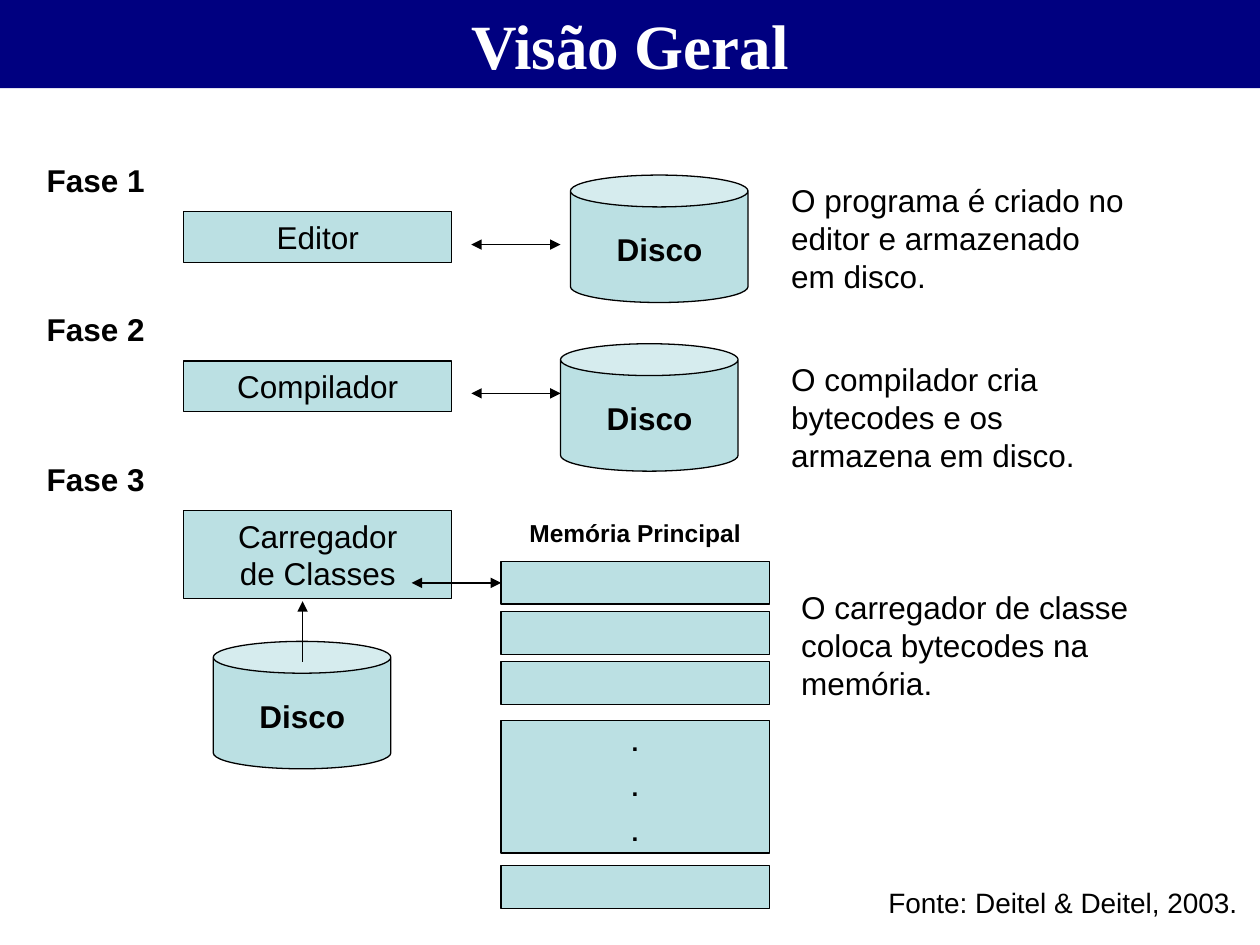
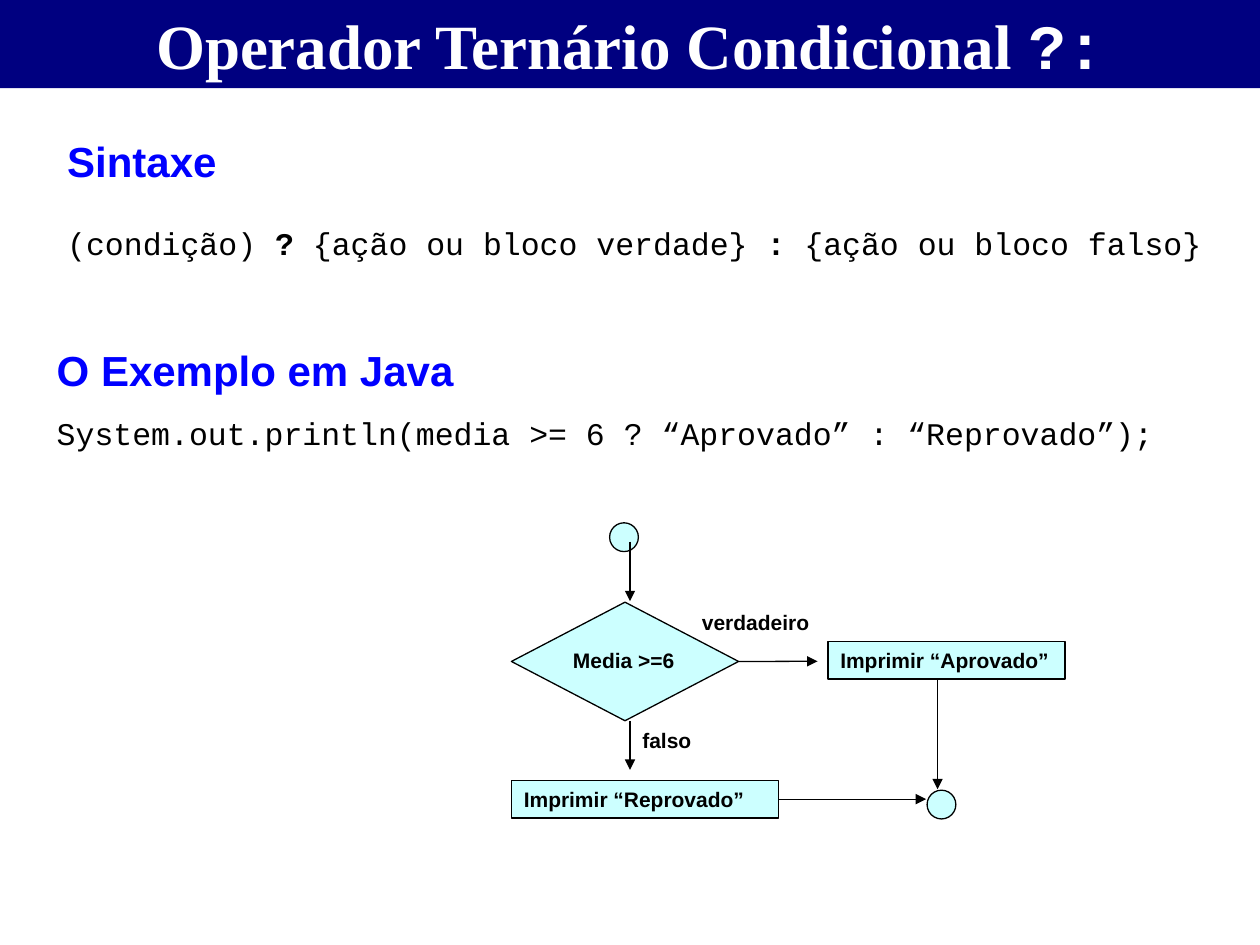
from dataclasses import dataclass

from lxml.etree import SubElement
from pptx import Presentation
from pptx.dml.color import RGBColor as RGB
from pptx.enum.shapes import MSO_CONNECTOR as LINK, MSO_SHAPE as FORM
from pptx.enum.text import MSO_ANCHOR as ANCHOR, MSO_AUTO_SIZE as FIT, PP_ALIGN as ALIGN
from pptx.oxml.ns import qn
from pptx.util import Cm, Pt


@dataclass(frozen=True)
class Theme:
    band: RGB = RGB(0x00, 0x00, 0x80)
    white: RGB = RGB(0xFF, 0xFF, 0xFF)
    ink: RGB = RGB(0x00, 0x00, 0x00)
    heading: RGB = RGB(0x00, 0x00, 0xFF)
    phase: RGB = RGB(0xBB, 0xE0, 0xE3)
    flow: RGB = RGB(0xCC, 0xFF, 0xFF)
    serif: str = "Times New Roman"
    sans: str = "Arial"
    mono: str = "Courier New"
    title_size: int = 36
    heading_size: int = 24
    text_size: int = 18
    source_size: int = 16
    memory_size: int = 14
    flow_size: int = 12
    line_width: float = 0.75


THEME = Theme()
BOTH_ENDS = ("headEnd", "tailEnd")
TOP, LEFT, BOTTOM, RIGHT = range(4)


def write(frame, text, size=THEME.text_size, font=THEME.sans, color=THEME.ink,
          bold=False, align=ALIGN.LEFT, before=0, spacing=1.0):
    frame.word_wrap = True
    frame.auto_size = FIT.NONE
    frame.vertical_anchor = ANCHOR.TOP
    paragraph = frame.paragraphs[0]
    if paragraph.runs:
        paragraph = frame.add_paragraph()
    paragraph.alignment = align
    paragraph.space_before = Pt(before)
    paragraph.line_spacing = spacing
    properties = paragraph._p.get_or_add_pPr()
    properties.set("marL", "0")
    properties.set("indent", "0")
    SubElement(properties, qn("a:buNone"))
    for content, changes in [(text, {})] if isinstance(text, str) else text:
        look = {"font": font, "bold": bold} | changes
        for number, line in enumerate(content.split("\n")):
            if number:
                paragraph.add_line_break()
            run = paragraph.add_run()
            run.text = line
            run.font.size = Pt(size)
            run.font.name = look["font"]
            run.font.bold = look["bold"]
            run.font.color.rgb = color


def place(placeholder, left, top, width, height):
    placeholder.left, placeholder.top = Cm(left), Cm(top)
    placeholder.width, placeholder.height = Cm(width), Cm(height)


def add_slide(deck, layout, title):
    slide = deck.slides.add_slide(deck.slide_layouts[layout])
    band = slide.shapes.title
    place(band, 0, 0, 25.4, 1.78)
    band.fill.solid()
    band.fill.fore_color.rgb = THEME.band
    write(band.text_frame, title, size=THEME.title_size, font=THEME.serif,
          color=THEME.white, bold=True, align=ALIGN.CENTER)
    return slide


def add_label(shapes, box, text, **style):
    label = shapes.add_textbox(*map(Cm, box))
    write(label.text_frame, text, **style)


def add_node(shapes, form, box, fill, text="", **style):
    node = shapes.add_shape(form, *map(Cm, box))
    node.shadow.inherit = False
    node.fill.solid()
    node.fill.fore_color.rgb = fill
    node.line.color.rgb = THEME.ink
    node.line.width = Pt(THEME.line_width)
    if text:
        write(node.text_frame, text, **style)
    return node


def add_arrow(shapes, start, end, heads=("tailEnd",), source=None, target=None):
    arrow = shapes.add_connector(LINK.STRAIGHT, *map(Cm, start + end))
    arrow.line.color.rgb = THEME.ink
    arrow.line.width = Pt(THEME.line_width)
    outline = arrow.line._get_or_add_ln()
    for head in heads:
        SubElement(outline, qn(f"a:{head}"), type="triangle")
    SubElement(arrow._element.spPr, qn("a:effectLst"))
    if source:
        arrow.begin_connect(*source)
    if target:
        arrow.end_connect(*target)


def add_disk(shapes, left, top):
    disk = shapes.add_group_shape().shapes
    add_node(disk, FORM.CAN, (left, top, 3.58, 2.57), THEME.phase)
    add_label(disk, (left + 0.41, top + 0.99, 2.77, 1.02), "Disco",
              bold=True, align=ALIGN.CENTER)


def add_memory(shapes):
    left, width, cell = 10.1, 5.41, 0.86
    caption = dict(size=THEME.memory_size, bold=True, align=ALIGN.CENTER)
    add_label(shapes, (left, 10.31, width, cell), "Memória Principal", **caption)
    cells = [add_node(shapes, FORM.RECTANGLE, (left, top, width, cell), THEME.phase)
             for top in (11.32, 12.33, 13.34, 17.45)]
    gap = add_node(shapes, FORM.RECTANGLE, (left, 14.53, width, 2.67), THEME.phase)
    for before in (0, 8.8, 8.8):
        write(gap.text_frame, ".", before=before, **caption)
    return cells[0]


def build_overview(deck):
    shapes = add_slide(deck, 5, "Visão Geral").shapes
    phases = [
        ("Editor", 1.02, (15.7, 3.53),
         "O programa é criado no editor e armazenado em disco."),
        ("Compilador", 1.02, (15.7, 7.14),
         "O compilador cria bytecodes e os armazena em disco."),
        ("Carregador\nde Classes", 1.78, (15.9, 11.73),
         "O carregador de classe coloca bytecodes na memória."),
    ]
    for number, (tool, height, corner, explanation) in enumerate(phases):
        top = 3.12 + 3.01 * number
        add_label(shapes, (0.69, top, 2.79, 1.02), f"Fase {number + 1}", bold=True)
        add_node(shapes, FORM.RECTANGLE, (3.7, top + 1.15, 5.41, height),
                 THEME.phase, tool, align=ALIGN.CENTER)
        add_label(shapes, corner + (7.21, 2.54), explanation)
    for corner in ((11.5, 3.53), (11.3, 6.93), (4.3, 12.93)):
        add_disk(shapes, *corner)
    for top in (4.93, 7.93):
        add_arrow(shapes, (9.5, top), (11.3, top), BOTH_ENDS)
    add_arrow(shapes, (6.1, 13.34), (6.1, 12.12))
    first_cell = add_memory(shapes)
    add_arrow(shapes, (8.3, 11.75), (10.1, 11.75), BOTH_ENDS, target=(first_cell, LEFT))
    add_label(shapes, (12.5, 17.73, 12.7, 0.94), "Fonte: Deitel & Deitel, 2003.",
              size=THEME.source_size, align=ALIGN.RIGHT)


def fill_section(section, box, heading, code, gap):
    place(section, *box)
    write(section.text_frame, heading, size=THEME.heading_size,
          color=THEME.heading, bold=True, spacing=0.9)
    write(section.text_frame, code, font=THEME.mono, before=gap, spacing=0.9)


def add_flowchart(shapes):
    flow = shapes.add_group_shape().shapes
    style = dict(size=THEME.flow_size, bold=True)
    decision = add_node(flow, FORM.FLOWCHART_DECISION, (10.31, 12.14, 4.58, 2.39), THEME.flow)
    add_label(flow, (11.3, 12.93, 2.77, 0.76), "Media >=6", **style)
    for corner in ((12.29, 10.54), (18.69, 15.93)):
        add_node(flow, FORM.FLOWCHART_CONNECTOR, corner + (0.58, 0.58), THEME.flow)
    add_node(flow, FORM.RECTANGLE, (16.69, 12.93, 4.78, 0.76), THEME.flow,
             "Imprimir “Aprovado”", **style)
    failed = add_node(flow, FORM.RECTANGLE, (10.31, 15.73, 5.38, 0.76), THEME.flow,
                      "Imprimir “Reprovado”", **style)
    add_label(flow, (13.9, 12.17, 2.97, 0.76), "verdadeiro", **style)
    add_label(flow, (12.7, 14.55, 1.57, 0.76), "falso", **style)
    add_arrow(flow, (12.7, 10.92), (12.7, 12.12))
    add_arrow(flow, (12.7, 14.53), (12.7, 15.52))
    add_arrow(flow, (18.9, 13.7), (18.9, 15.91))
    add_arrow(flow, (14.89, 13.33), (16.48, 13.33), source=(decision, RIGHT))
    add_arrow(flow, (15.69, 16.11), (18.67, 16.11), source=(failed, RIGHT))


def build_ternary(deck):
    slide = add_slide(deck, 3, [("Operador Ternário Condicional ", {}),
                                ("?:", {"font": THEME.mono})])
    strong = {"bold": True}
    syntax, example = list(slide.placeholders)[1:3]
    fill_section(syntax, (1.1, 2.72, 23.6, 3.61), "Sintaxe",
                 [("(condição) ", {}), ("? ", strong), ("{ação ou bloco verdade} ", {}),
                  (": ", strong), ("{ação ou bloco falso}", {})], gap=24)
    fill_section(example, (0.89, 6.93, 23.4, 3.0), "O Exemplo em Java",
                 "System.out.println(media >= 6 ? “Aprovado” : “Reprovado”);", gap=13)
    add_flowchart(slide.shapes)


def main():
    deck = Presentation()
    deck.slide_width, deck.slide_height = Cm(25.4), Cm(19.05)
    build_overview(deck)
    build_ternary(deck)
    deck.save("out.pptx")


if __name__ == "__main__":
    main()
